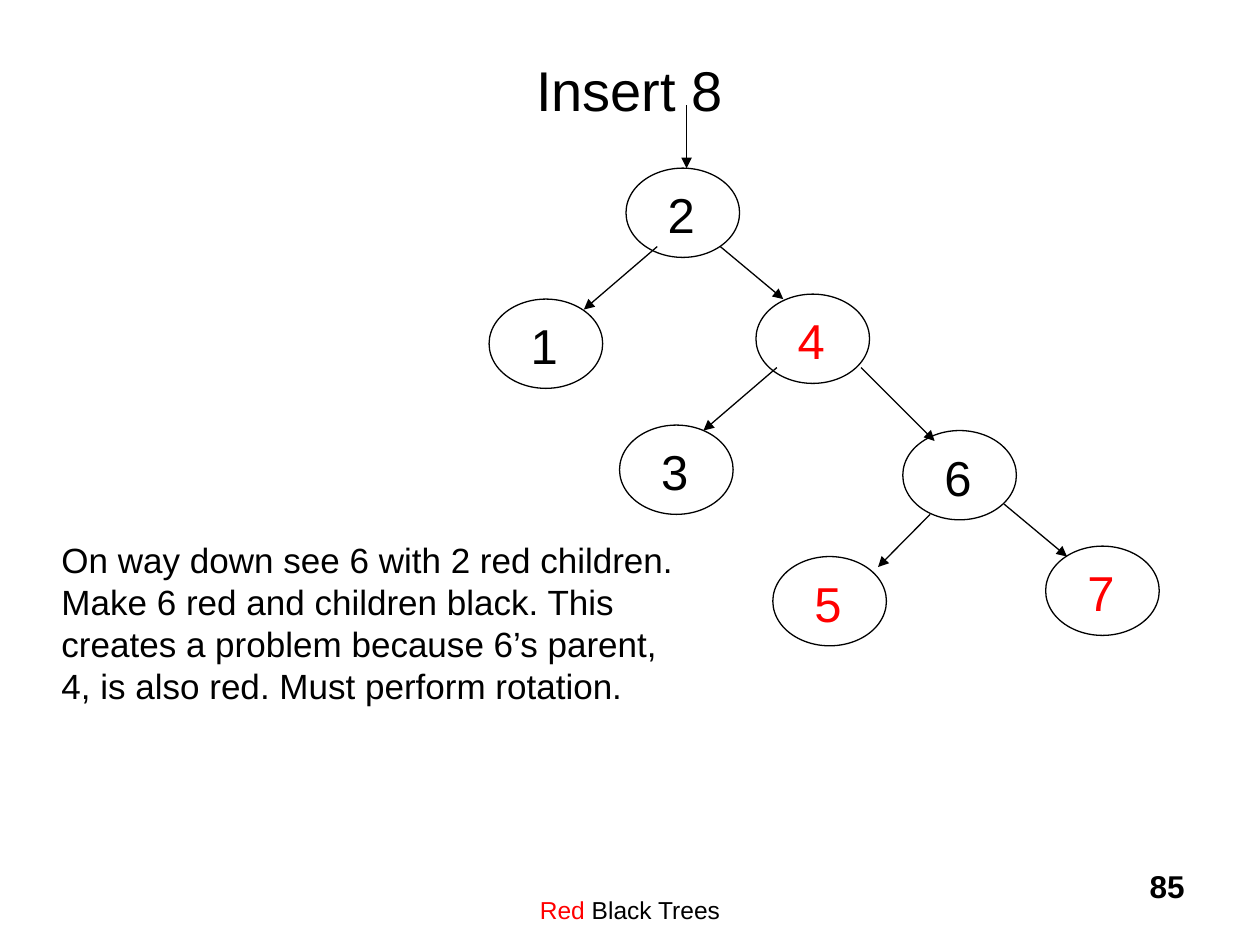
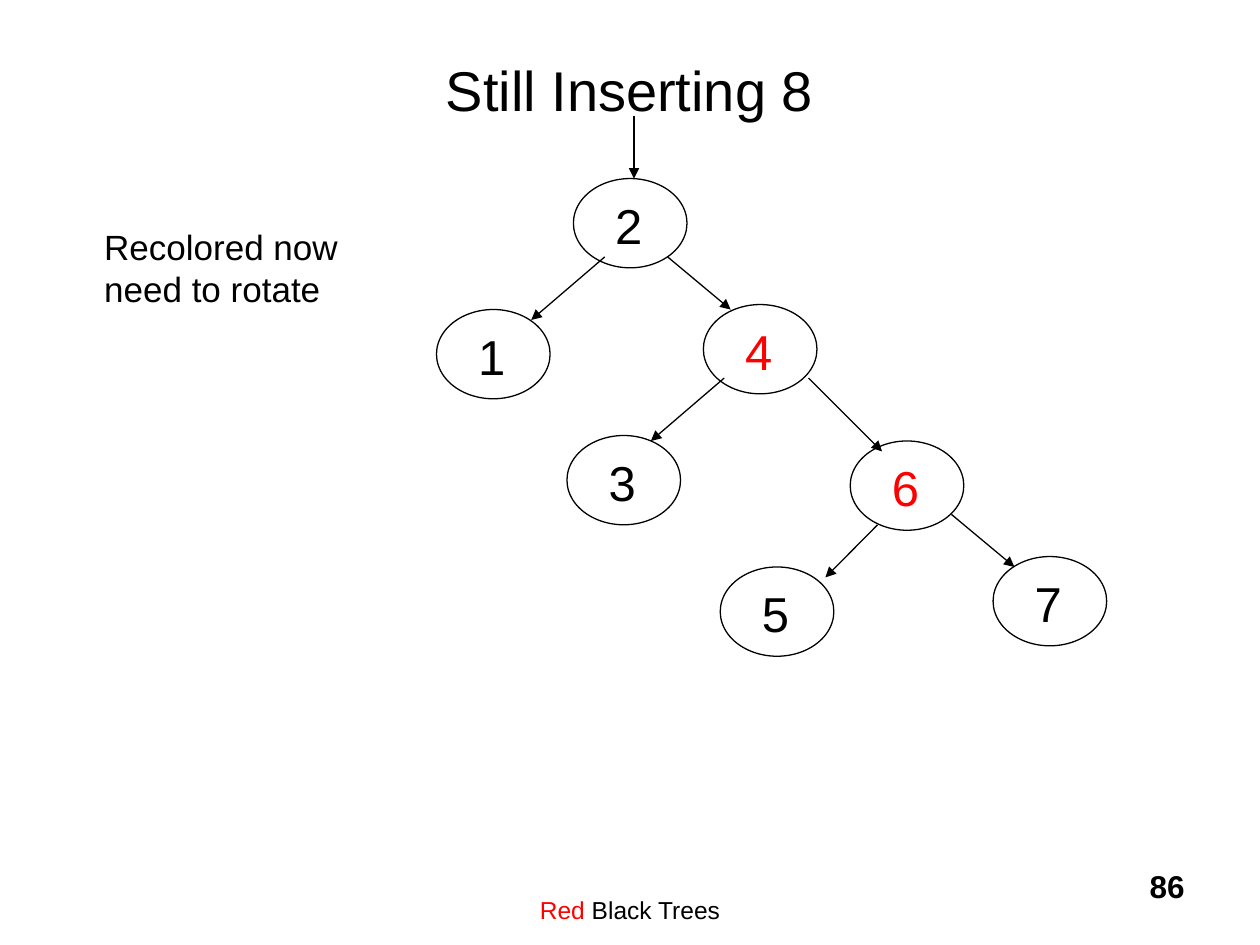
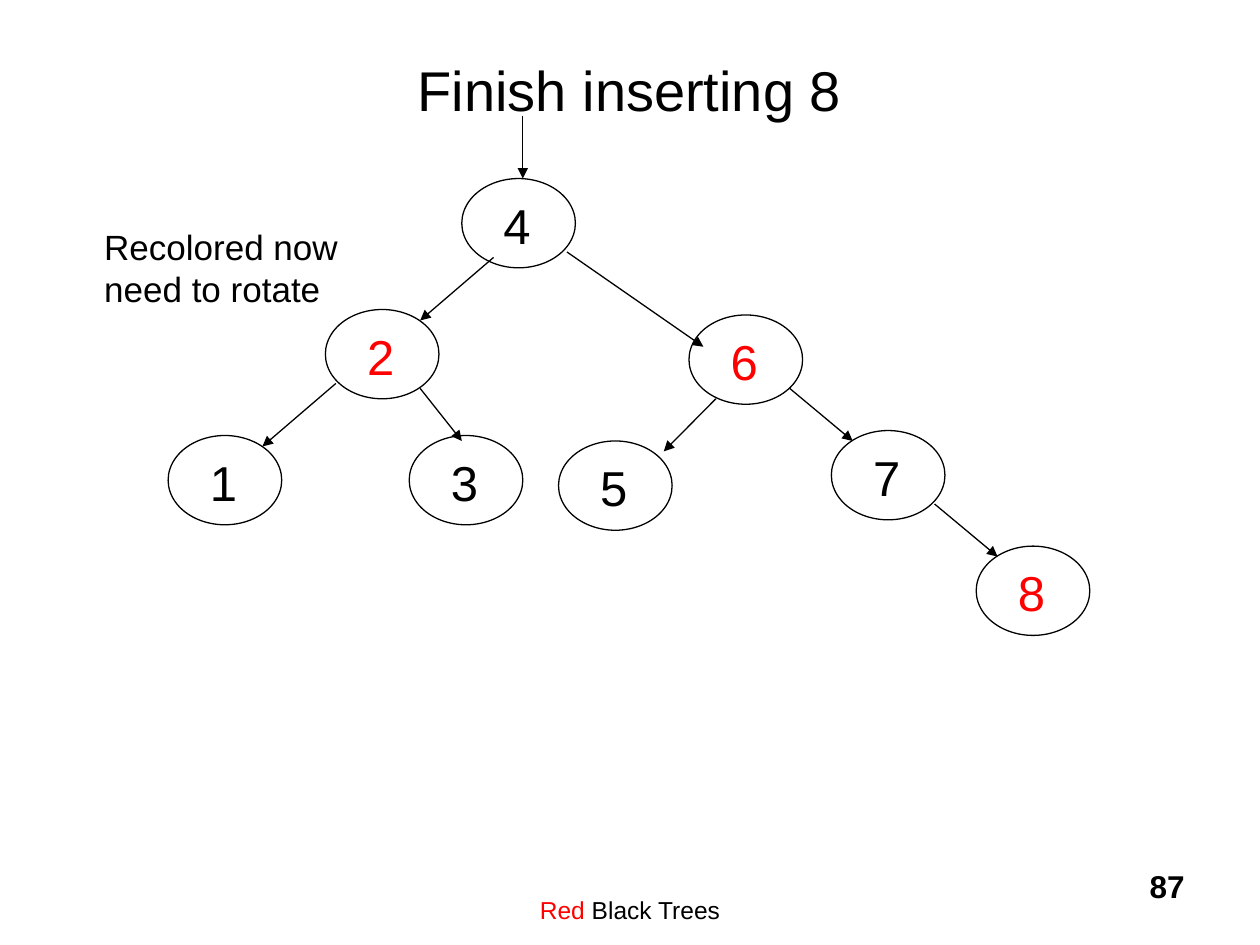
from dataclasses import dataclass

import lxml.etree
import pptx
import pptx.dml.color
import pptx.enum.shapes
import pptx.enum.text
import pptx.oxml.ns
import pptx.util

Cm = pptx.util.Cm
Pt = pptx.util.Pt
Align = pptx.enum.text.PP_ALIGN
Anchor = pptx.enum.text.MSO_ANCHOR

COLORS = {"black": "000000", "red": "FF0000"}
FONT = "Arial"
LINE_WIDTH = 0.75
NODE_SIZE = (2.29, 1.8)
LABEL_OFFSET = (0.59, 0.21)
LABEL_SIZE = (1.07, 1.45)
FIRST_NUMBER = 85


@dataclass(frozen=True)
class Node:
    key: str
    left: float
    top: float


@dataclass(frozen=True)
class Arrow:
    x1: float
    y1: float
    x2: float
    y2: float


@dataclass(frozen=True)
class Tree:
    nodes: tuple[Node, ...]
    arrows: tuple[Arrow, ...]


@dataclass(frozen=True)
class Note:
    text: str
    frame: tuple[float, float, float, float]
    wrap: bool = False


@dataclass(frozen=True)
class Step:
    title: str
    tree: Tree
    red_keys: str
    note: Note
    shift: tuple[float, float] = (0, 0)


BEFORE_ROTATION = Tree(
    nodes=(
        Node("2", 12.62, 3.39),
        Node("1", 9.86, 6.03),
        Node("4", 15.24, 5.93),
        Node("3", 12.49, 8.57),
        Node("6", 18.2, 8.68),
        Node("5", 15.58, 11.22),
        Node("7", 21.08, 11.01),
    ),
    arrows=(
        Arrow(13.84, 2.12, 13.84, 3.39),
        Arrow(14.52, 4.97, 15.79, 6.03),
        Arrow(13.25, 4.97, 11.77, 6.24),
        Arrow(17.36, 7.41, 18.84, 8.89),
        Arrow(15.66, 7.41, 14.18, 8.68),
        Arrow(18.75, 10.37, 17.7, 11.43),
        Arrow(20.24, 10.16, 21.51, 11.22),
    ),
)
AFTER_ROTATION = Tree(
    nodes=(
        Node("4", 9.31, 3.6),
        Node("2", 6.56, 6.24),
        Node("3", 8.25, 8.78),
        Node("6", 13.89, 6.35),
        Node("5", 11.26, 8.89),
        Node("7", 16.76, 8.68),
        Node("1", 3.39, 8.78),
        Node("8", 19.68, 11.01),
    ),
    arrows=(
        Arrow(10.54, 2.33, 10.54, 3.6),
        Arrow(9.95, 5.19, 8.47, 6.46),
        Arrow(11.43, 5.08, 14.18, 6.99),
        Arrow(14.43, 8.04, 13.38, 9.1),
        Arrow(15.92, 7.83, 17.19, 8.89),
        Arrow(6.77, 7.73, 5.29, 9),
        Arrow(8.47, 7.83, 9.31, 8.89),
        Arrow(18.84, 10.16, 20.11, 11.22),
    ),
)
ROTATE_NOTE = Note("Recolored now\nneed to rotate", (1.85, 4.42, 5.26, 1.96))
PROBLEM_NOTE = Note(
    "On way down see 6 with 2 red children.\n"
    "Make 6 red and children black. This\n"
    "creates a problem because 6’s parent, 4, is also red. Must perform rotation.",
    (0.99, 10.74, 12.85, 3.68),
    wrap=True,
)
STEPS = (
    Step("Insert 8", BEFORE_ROTATION, "457", PROBLEM_NOTE),
    Step("Still Inserting 8", BEFORE_ROTATION, "46", ROTATE_NOTE, shift=(-1.06, 0.21)),
    Step("Finish inserting 8", AFTER_ROTATION, "268", ROTATE_NOTE),
)


def rgb(color: str) -> pptx.dml.color.RGBColor:
    return pptx.dml.color.RGBColor.from_string(COLORS[color])


def add_span(para, text: str, *, size: float, color: str = "black", bold: bool = False) -> None:
    """Append text to a paragraph, turning each newline into a line break."""
    for index, line in enumerate(text.split("\n")):
        if index:
            para.add_line_break()
        span = para.add_run()
        span.text = line
        span.font.name = FONT
        span.font.size = Pt(size)
        span.font.bold = bold
        span.font.color.rgb = rgb(color)


def add_text(shapes, text: str, frame: tuple[float, float, float, float], *, size: float,
             color: str = "black", bold: bool = False, align=Align.LEFT,
             anchor=Anchor.TOP, wrap: bool = True, grow: bool = False):
    box = shapes.add_textbox(*map(Cm, frame))
    text_frame = box.text_frame
    text_frame.word_wrap = wrap
    text_frame.vertical_anchor = anchor
    if grow:
        text_frame.auto_size = pptx.enum.text.MSO_AUTO_SIZE.SHAPE_TO_FIT_TEXT
    para = text_frame.paragraphs[0]
    para.alignment = align
    add_span(para, text, size=size, color=color, bold=bold)
    return box


def style_line(shape) -> None:
    shape.line.color.rgb = rgb("black")
    shape.line.width = Pt(LINE_WIDTH)


def add_node(page, node: Node, color: str, shift: tuple[float, float]) -> None:
    left, top = node.left + shift[0], node.top + shift[1]
    group = page.shapes.add_group_shape()
    ellipse = group.shapes.add_shape(
        pptx.enum.shapes.MSO_SHAPE.OVAL, *map(Cm, (left, top, *NODE_SIZE)))
    ellipse.shadow.inherit = False
    ellipse.fill.background()
    style_line(ellipse)
    label_frame = (left + LABEL_OFFSET[0], top + LABEL_OFFSET[1], *LABEL_SIZE)
    add_text(group.shapes, node.key, label_frame, size=28, color=color, wrap=False, grow=True)


def add_arrow(page, arrow: Arrow, shift: tuple[float, float]) -> None:
    dx, dy = shift
    connector = page.shapes.add_connector(
        pptx.enum.shapes.MSO_CONNECTOR.STRAIGHT,
        Cm(arrow.x1 + dx), Cm(arrow.y1 + dy), Cm(arrow.x2 + dx), Cm(arrow.y2 + dy))
    style_line(connector)
    qn = pptx.oxml.ns.qn
    lxml.etree.SubElement(connector.line._get_or_add_ln(), qn("a:tailEnd"), type="triangle")
    lxml.etree.SubElement(connector._element.spPr, qn("a:effectLst"))


def add_frame(page, title: str, number: int) -> None:
    """Add the footer, slide number and title that every slide has."""
    footer = add_text(page.shapes, "Red", (7.83, 17.36, 9.74, 1.27), size=14, color="red",
                      align=Align.CENTER, anchor=Anchor.BOTTOM)
    footer.text_frame.margin_bottom = 0
    add_span(footer.text_frame.paragraphs[0], " Black Trees", size=14)
    add_text(page.shapes, str(number), (18.84, 17.36, 5.29, 1.27), size=18, bold=True,
             align=Align.RIGHT)
    add_text(page.shapes, title, (1.9, 0.21, 21.59, 3.18), size=32, align=Align.CENTER,
             anchor=Anchor.MIDDLE)


def add_step(deck, step: Step, number: int) -> None:
    page = deck.slides.add_slide(deck.slide_layouts[6])
    add_frame(page, step.title, number)
    for node in step.tree.nodes:
        add_node(page, node, "red" if node.key in step.red_keys else "black", step.shift)
    for arrow in step.tree.arrows:
        add_arrow(page, arrow, step.shift)
    add_text(page.shapes, step.note.text, step.note.frame, size=20, wrap=step.note.wrap, grow=True)


def main() -> None:
    deck = pptx.Presentation()
    deck.slide_width, deck.slide_height = Cm(25.4), Cm(19.05)
    for number, step in enumerate(STEPS, FIRST_NUMBER):
        add_step(deck, step, number)
    deck.save("out.pptx")


if __name__ == "__main__":
    main()
